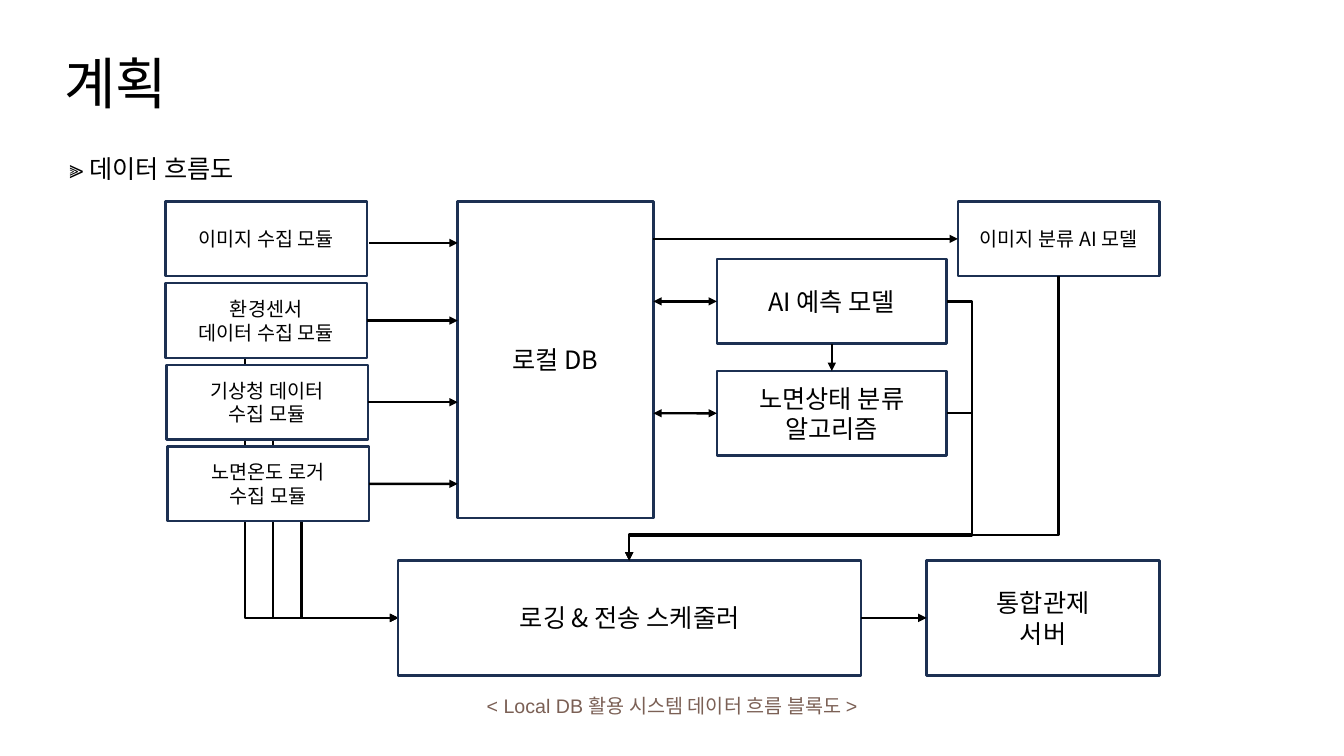
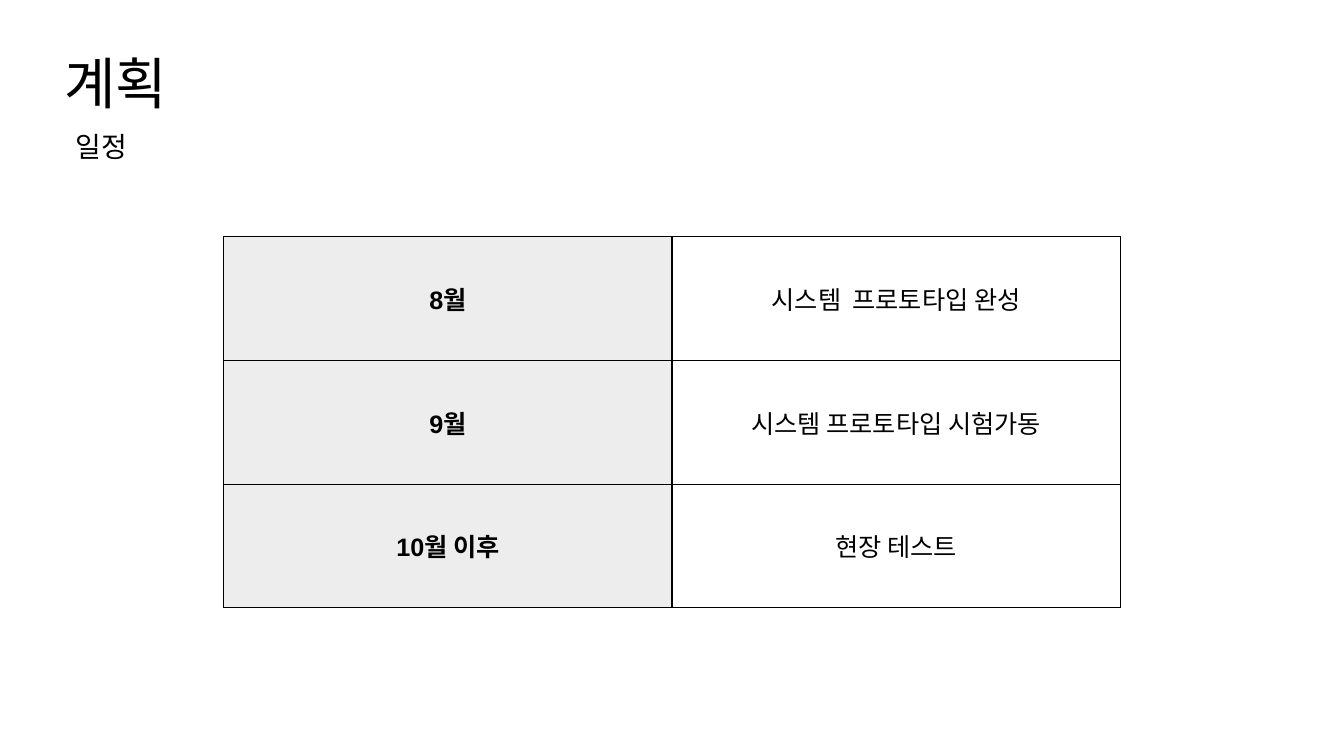
import pptx
import pptx.util
import pptx.dml.color
import pptx.enum.shapes
import pptx.enum.text
import pptx.oxml
import pptx.oxml.ns

INK = {"text": "000000", "edge": "1C3052", "note": "7B6055",
       "white": "FFFFFF", "head": "EDEDED"}
KOR, LAT = "Noto Sans CJK KR", "Arial"
WIDE, HIGH = 13.33, 7.5
LINE = 1.75
inch, pt = pptx.util.Inches, pptx.util.Pt
qn = pptx.oxml.ns.qn
ALIGN = pptx.enum.text.PP_ALIGN
MID = pptx.enum.text.MSO_ANCHOR.MIDDLE
KIND = pptx.enum.shapes.MSO_CONNECTOR


def rgb(name):
    return pptx.dml.color.RGBColor.from_string(INK[name])


def sub(node, tag, **attrs):
    """Append a child element with the given attributes."""
    child = node.makeelement(qn(tag), attrs)
    node.append(child)
    return child


def write(frame, text, size, font=KOR, ink="text", align=None, bold=False):
    frame.text = text
    for par in frame.paragraphs:
        par.alignment = align
        for run in par.runs:
            run.font.size, run.font.bold = pt(size), bold
            run.font.color.rgb = rgb(ink)
            run.font.name = font
            sub(run._r.get_or_add_rPr(), "a:ea", typeface=KOR)


def label(slide, box, text, size, anchor=None, **look):
    frame = slide.shapes.add_textbox(*map(inch, box)).text_frame
    frame.word_wrap = True
    if anchor is not None:
        frame.vertical_anchor = anchor
    write(frame, text, size, **look)


def start(deck):
    """Add a blank slide with the shared title."""
    slide = deck.slides.add_slide(deck.slide_layouts[6])
    label(slide, (0.54, 0.43, 4.64, 0.77), "계획", 40)
    return slide


class Grid:
    """Columns and rows laid over a box on a slide."""

    def __init__(self, slide, box, cols, rows):
        self.shapes = slide.shapes
        self.left, self.top, wide, high = box
        self.col, self.row = wide / cols, high / rows

    def spot(self, x, y):
        return self.left + x * self.col, self.top + y * self.row

    def block(self, x, y, wide, high, text, size=18):
        rect = self.shapes.add_shape(
            pptx.enum.shapes.MSO_SHAPE.RECTANGLE, *map(inch, self.spot(x, y)),
            inch(wide * self.col), inch(high * self.row))
        rect.shadow.inherit = False
        rect.fill.solid()
        rect.fill.fore_color.rgb = rgb("white")
        rect.line.color.rgb = rgb("edge")
        rect.line.width = pt(LINE)
        rect.text_frame.word_wrap = True
        rect.text_frame.vertical_anchor = MID
        write(rect.text_frame, text, size, align=ALIGN.CENTER)
        return rect

    def link(self, kind, ends, both=False):
        line = self.shapes.add_connector(kind, *map(inch, ends))
        line.line.color.rgb = rgb("text")
        line.line.width = pt(LINE)
        ln = line.line._get_or_add_ln()
        for tag in ("a:headEnd", "a:tailEnd")[0 if both else 1:]:
            sub(ln, tag, type="triangle")
        sub(line._element.spPr, "a:effectLst")
        return line

    def arrow(self, a, b, src=None, dst=None, both=False):
        """Straight arrow; src and dst are (shape, side) pairs to join."""
        line = self.link(KIND.STRAIGHT, self.spot(*a) + self.spot(*b), both)
        if src:
            line.begin_connect(*src)
        if dst:
            line.end_connect(*dst)

    def bend(self, a, b, form, turn=0, flip=True, bends=()):
        """Elbow arrow whose frame is turned by a multiple of 90 degrees."""
        (ax, ay), (bx, by) = self.spot(*a), self.spot(*b)
        wide, high = abs(bx - ax), abs(by - ay)
        if turn:
            wide, high = high, wide
        mx, my = (ax + bx) / 2, (ay + by) / 2
        line = self.link(KIND.ELBOW, (mx - wide / 2, my - high / 2,
                                      mx + wide / 2, my + high / 2))
        props = line._element.spPr
        frame, geom = props.find(qn("a:xfrm")), props.find(qn("a:prstGeom"))
        if turn:
            frame.set("rot", str(turn * 60000))
        if flip:
            frame.set("flipH", "1")
        geom.set("prst", form)
        marks = geom.find(qn("a:avLst"))
        if marks is None:
            marks = sub(geom, "a:avLst")
        for i, share in enumerate(bends, 1):
            name = "adj1" if len(bends) == 1 else f"adj{i}"
            sub(marks, "a:gd", name=name, fmla=f"val {round(share * 100000)}")


def flow(slide, box):
    grid = Grid(slide, box, 98.6, 47)
    for i in (2, 1, 0):
        grid.bend((7.9 + 2.8 * i, 8.5 + 10.9 * i), (23.1, 41.3),
                  "bentConnector2", turn=270)

    base = grid.block(29, 0, 19.4, 31.4, "로컬 DB")
    names = ("이미지 수집 모듈", "환경센서\n데이터 수집 모듈",
             "기상청 데이터\n수집 모듈", "노면온도 로거\n수집 모듈")
    for i, name in enumerate(names):
        x, y = max(0, i - 1) * 0.1, 8.1 * i
        part = grid.block(x, y, 20, 7.4, name, 14)
        mid = y + (3.7 if i else 4.1)
        grid.arrow((20.2, mid), (29, mid), src=(part, 3) if i else None)

    guess = grid.block(54.7, 5.7, 22.8, 8.4, "AI 예측 모델")
    sort = grid.block(54.7, 16.8, 22.8, 8.4, "노면상태 분류\n알고리즘")
    sight = grid.block(78.6, 0, 20, 7.4, "이미지 분류 AI 모델", 14)
    send = grid.block(23.1, 35.6, 45.9, 11.4, "로깅 & 전송 스케줄러")
    hub = grid.block(75.5, 35.6, 23.1, 11.4, "통합관제\n서버")

    for part, x, y, both in ((guess, 54.7, 9.9, True), (sort, 54.7, 21, True),
                             (sight, 78.6, 3.7, False)):
        grid.arrow((48.4, y), (x, y), dst=(part, 1), both=both)
    grid.arrow((66.1, 14.1), (66.1, 16.8), (guess, 2), (sort, 0))
    grid.arrow((69, 41.3), (75.5, 41.3), (send, 3), (hub, 1))

    goal = (46, 35.6)
    for y, drop in ((9.9, 0.9), (21, 0.83)):
        grid.bend((77.5, y), goal, "bentConnector4", bends=(-0.08, drop))
    grid.bend((88.6, 7.4), goal, "bentConnector3", 90, False, (0.91,))


def edge(cell):
    """Draw a thin line on all four sides of a cell."""
    props = cell._tc.get_or_add_tcPr()
    for i, side in enumerate("LRTB"):
        ln = props.makeelement(qn("a:ln" + side), {"w": str(pt(1))})
        sub(sub(ln, "a:solidFill"), "a:srgbClr", val=INK["text"])
        props.insert(i, ln)


def dates(slide, box, rows):
    grid = slide.shapes.add_table(len(rows), 2, *map(inch, box)).table
    grid.first_row = grid.horz_banding = False
    for r, row in enumerate(rows):
        for c, text in enumerate(row):
            cell = grid.cell(r, c)
            cell.fill.solid()
            cell.fill.fore_color.rgb = rgb("white" if c else "head")
            cell.vertical_anchor = MID
            write(cell.text_frame, text, 18, LAT, align=ALIGN.CENTER,
                  bold=c == 0)
            edge(cell)


def main():
    deck = pptx.Presentation()
    deck.slide_width, deck.slide_height = inch(WIDE), inch(HIGH)

    slide = start(deck)
    label(slide, (0.59, 1.38, 12.15, 0.59), "⫸ 데이터 흐름도", 18, MID,
          font=LAT)
    flow(slide, (1.64, 2, 9.86, 4.7))
    label(slide, (0.59, 6.81, 12.15, 0.39),
          "< Local DB 활용 시스템 데이터 흐름 블록도 >", 14, MID,
          font=LAT, ink="note", align=ALIGN.CENTER)

    slide = start(deck)
    label(slide, (0.65, 1.24, 4.59, 0.44), "일정", 20)
    dates(slide, (2.22, 2.35, 8.89, 3.68),
          (("8월", "시스템  프로토타입 완성"),
           ("9월", "시스템 프로토타입 시험가동"),
           ("10월 이후", "현장 테스트")))
    deck.save("out.pptx")


if __name__ == "__main__":
    main()
